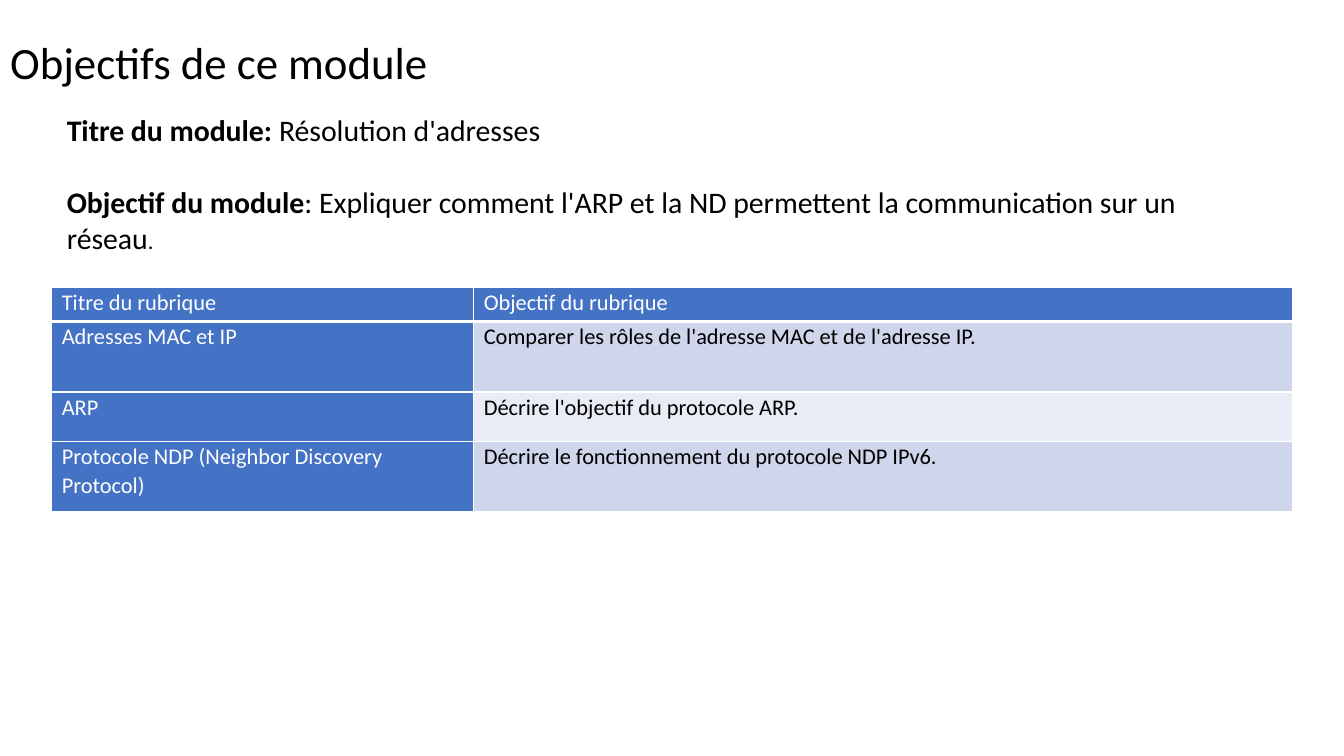
from typing import NamedTuple

from lxml.etree import SubElement
from pptx import Presentation
from pptx.dml.color import RGBColor
from pptx.enum.text import MSO_ANCHOR, PP_ALIGN
from pptx.oxml.ns import qn
from pptx.slide import Slide
from pptx.table import _Cell
from pptx.util import Inches, Pt

BLACK = RGBColor(0x00, 0x00, 0x00)
WHITE = RGBColor(0xFF, 0xFF, 0xFF)
BLUE = RGBColor(0x44, 0x72, 0xC4)
BAND_DARK = RGBColor(0xCF, 0xD5, 0xEA)
BAND_LIGHT = RGBColor(0xE9, 0xEB, 0xF5)
FONT = "Calibri"
SLIDE_WIDTH, SLIDE_HEIGHT = Inches(13.33), Inches(7.5)
INTRO_SIZE = 21.3
TOPIC_SHARE = 0.34


class Area(NamedTuple):
    """Place on the slide, in shares of its width and height."""

    left: float
    top: float
    width: float
    height: float

    def box(self) -> tuple[int, int, int, int]:
        """Return left, top, width and height as lengths."""
        return (int(self.left * SLIDE_WIDTH), int(self.top * SLIDE_HEIGHT),
                int(self.width * SLIDE_WIDTH), int(self.height * SLIDE_HEIGHT))


class Phrase(NamedTuple):
    """Stretch of text with its own size and weight."""

    text: str
    bold: bool = False
    size: float = INTRO_SIZE


class Topic(NamedTuple):
    """Table row: topic, its objective, height and objective colours."""

    title: str
    objective: str
    height: float
    fill: RGBColor
    color: RGBColor = BLACK


TITLE_AREA = Area(0, 0.008, 1, 0.147)
INTRO_AREA = Area(0.04, 0.136, 0.876, 0.263)
TABLE_AREA = Area(0.0385, 0.38, 0.9235, 0.296)
INTRO = [
    [Phrase("Titre du module: ", bold=True), Phrase("Résolution d'adresses")],
    [Phrase("Objectif du module", bold=True),
     Phrase(": Expliquer comment l'ARP et la ND permettent la communication sur un réseau"),
     Phrase(".", size=16)],
]
TOPICS = [
    Topic("Titre du rubrique", "Objectif du rubrique", 0.34, BLUE, WHITE),
    Topic("Adresses MAC et IP", "Comparer les rôles de l'adresse MAC et de l'adresse IP.",
          0.7, BAND_DARK),
    Topic("ARP", "Décrire l'objectif du protocole ARP.", 0.49, BAND_LIGHT),
    Topic("Protocole NDP (Neighbor Discovery Protocol)",
          "Décrire le fonctionnement du protocole NDP IPv6.", 0.7, BAND_DARK),
]


def style_font(font, size: float, color: RGBColor, bold: bool = False) -> None:
    """Apply the slide's typeface with a size, colour and weight."""
    font.name, font.size, font.bold = FONT, Pt(size), bold
    font.color.rgb = color


def add_title(slide: Slide, text: str) -> None:
    """Fill and place the title placeholder."""
    title = slide.shapes.title
    title.left, title.top, title.width, title.height = TITLE_AREA.box()
    title.text_frame.text = text
    title.text_frame.vertical_anchor = MSO_ANCHOR.MIDDLE
    heading = title.text_frame.paragraphs[0]
    heading.alignment = PP_ALIGN.LEFT
    style_font(heading.runs[0].font, 32, BLACK)


def add_intro(slide: Slide) -> None:
    """Add the module's title and objective."""
    frame = slide.shapes.add_textbox(*INTRO_AREA.box()).text_frame
    frame.word_wrap = True
    frame.margin_left = frame.margin_right = Inches(0.13)
    frame.margin_top = Inches(0.09)
    for index, phrases in enumerate(INTRO):
        statement = frame.add_paragraph() if index else frame.paragraphs[0]
        if index:
            statement.space_before = Pt(26)
        for phrase in phrases:
            run = statement.add_run()
            run.text = phrase.text
            style_font(run.font, phrase.size, BLACK, phrase.bold)


def add_borders(cell: _Cell, bottom: float) -> None:
    """Draw white cell borders with a given bottom width."""
    properties = cell._tc.get_or_add_tcPr()
    for side, width in (("L", 1), ("R", 1), ("T", 1), ("B", bottom)):
        border = SubElement(properties, qn(f"a:ln{side}"), w=str(Pt(width)))
        SubElement(SubElement(border, qn("a:solidFill")), qn("a:srgbClr"), val=str(WHITE))


def fill_cell(cell: _Cell, text: str, fill: RGBColor, color: RGBColor, bottom: float) -> None:
    """Write and format one table cell."""
    cell.text_frame.text = text
    cell.margin_left = cell.margin_right = Inches(0.1)
    cell.margin_top = cell.margin_bottom = 0
    add_borders(cell, bottom)
    cell.fill.solid()
    cell.fill.fore_color.rgb = fill
    entry = cell.text_frame.paragraphs[0]
    entry.line_spacing = 1.07
    style_font(entry.runs[0].font, 16, color)


def add_topics(slide: Slide) -> None:
    """Add the table of topics and objectives."""
    table = slide.shapes.add_table(len(TOPICS), 2, *TABLE_AREA.box()).table
    table.first_col = True
    for column, share in zip(table.columns, (TOPIC_SHARE, 1 - TOPIC_SHARE)):
        column.width = int(share * TABLE_AREA.width * SLIDE_WIDTH)
    for index, topic in enumerate(TOPICS):
        table.rows[index].height = Inches(topic.height)
        bottom = 1 if index else 3
        fill_cell(table.cell(index, 0), topic.title, BLUE, WHITE, bottom)
        fill_cell(table.cell(index, 1), topic.objective, topic.fill, topic.color, bottom)


def main() -> None:
    """Build and save the slide."""
    deck = Presentation()
    deck.slide_width, deck.slide_height = SLIDE_WIDTH, SLIDE_HEIGHT
    slide = deck.slides.add_slide(deck.slide_layouts[5])
    add_title(slide, "Objectifs de ce module")
    add_intro(slide)
    add_topics(slide)
    deck.save("out.pptx")


if __name__ == "__main__":
    main()
